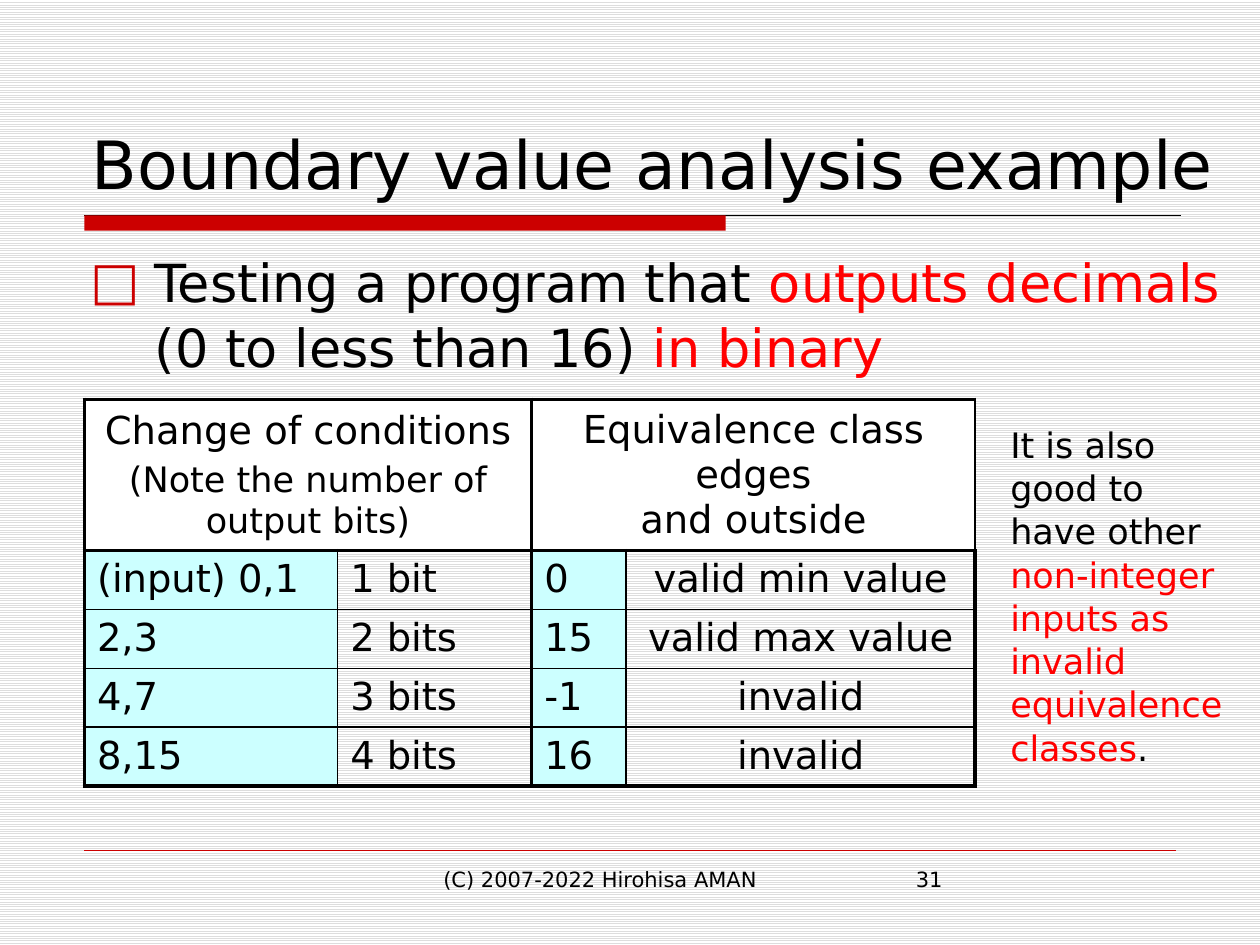
from lxml import etree
from pptx import Presentation
from pptx.dml.color import RGBColor
from pptx.enum import dml, shapes, text
from pptx.oxml import ns
from pptx.util import Inches, Pt

FONT = "DejaVu Sans"
BLACK = RGBColor(0x00, 0x00, 0x00)
WHITE = RGBColor(0xFF, 0xFF, 0xFF)
STRIPE = RGBColor(0xDD, 0xDD, 0xDD)
CRIMSON = RGBColor(0xCC, 0x00, 0x00)
RED = RGBColor(0xFF, 0x00, 0x00)
CYAN = RGBColor(0xCC, 0xFF, 0xFF)
LEFT, CENTER = text.PP_ALIGN.LEFT, text.PP_ALIGN.CENTER

HEADINGS = [
    [("Change of conditions", 22), ("(Note the number of output bits)", 20)],
    [("Equivalence class edges", 22), ("and outside", 22)],
]
CASES = [
    ("(input) 0,1", "1 bit", "0", "valid min value"),
    ("2,3", "2 bits", "15", "valid max value"),
    ("4,7", "3 bits", "-1", "invalid"),
    ("8,15", "4 bits", "16", "invalid"),
]


def write(paragraph, *parts, size, align=LEFT, before=0, spacing=None):
    """Fill a paragraph with parts, each a string or a (string, colour) pair."""
    paragraph.alignment = align
    paragraph.space_before = Pt(before)
    if spacing:
        paragraph.line_spacing = spacing
    for part in parts:
        words, colour = (part, BLACK) if isinstance(part, str) else part
        run = paragraph.add_run()
        run.text = words
        run.font.name, run.font.size = FONT, Pt(size)
        run.font.color.rgb = colour


def add_text(slide, left, top, width, height, *parts, **style):
    box = slide.shapes.add_textbox(
        Inches(left), Inches(top), Inches(width), Inches(height))
    box.text_frame.word_wrap = True
    paragraph = box.text_frame.paragraphs[0]
    write(paragraph, *parts, **style)
    return paragraph


def add_rule(slide, left, right, y, colour, weight):
    rule = slide.shapes.add_connector(
        shapes.MSO_CONNECTOR.STRAIGHT,
        Inches(left), Inches(y), Inches(right), Inches(y))
    rule.line.color.rgb, rule.line.width = colour, Pt(weight)
    etree.SubElement(rule._element.spPr, ns.qn("a:effectLst"))


def add_title(slide, left, top, width, height):
    title = slide.shapes.title
    title.left, title.top = Inches(left), Inches(top)
    title.width, title.height = Inches(width), Inches(height)
    frame = title.text_frame
    frame.vertical_anchor = text.MSO_ANCHOR.BOTTOM
    frame.auto_size = text.MSO_AUTO_SIZE.NONE
    write(frame.paragraphs[0], "Boundary value analysis example", size=38)


def add_title_bar(slide, left, top, width):
    add_rule(slide, left, left + width, top, BLACK, 0.75)
    bar = slide.shapes.add_shape(
        shapes.MSO_SHAPE.RECTANGLE,
        Inches(left), Inches(top), Inches(5.09), Inches(0.12))
    bar.shadow.inherit = False
    bar.fill.solid()
    bar.fill.fore_color.rgb = CRIMSON
    bar.line.fill.background()


def add_topic(slide, left, top, width, height):
    topic = add_text(
        slide, left, top, width, height,
        "Testing a program that ", ("outputs decimals", RED),
        " (0 to less than 16) ", ("in binary", RED), size=30, spacing=1.03)
    # Red square bullet with a hanging indent
    props = topic._p.get_or_add_pPr()
    props.set("marL", str(Inches(0.51)))
    props.set("indent", str(-Inches(0.51)))
    colour = etree.SubElement(props, ns.qn("a:buClr"))
    etree.SubElement(colour, ns.qn("a:srgbClr"), val=str(CRIMSON))
    etree.SubElement(props, ns.qn("a:buFont"), typeface=FONT)
    etree.SubElement(props, ns.qn("a:buChar"), char="□")


def set_borders(cell, **thick_sides):
    props = cell._tc.get_or_add_tcPr()
    for side, thick in thick_sides.items():
        line = etree.SubElement(
            props, ns.qn(f"a:ln{side}"), w=str(Pt(2.25 if thick else 1)))
        fill = etree.SubElement(line, ns.qn("a:solidFill"))
        etree.SubElement(fill, ns.qn("a:srgbClr"), val=str(BLACK))


def add_case_table(slide, left, top, widths, heights):
    table = slide.shapes.add_table(
        len(heights), len(widths), Inches(left), Inches(top),
        Inches(sum(widths)), Inches(sum(heights))).table
    table.first_row = table.horz_banding = False
    for column, width in zip(table.columns, widths):
        column.width = Inches(width)
    for row, height in zip(table.rows, heights):
        row.height = Inches(height)

    # Thick lines frame the header and each pair of columns
    for r in range(len(heights)):
        for c in range(len(widths)):
            cell = table.cell(r, c)
            set_borders(cell, L=c % 2 == 0, R=c % 2 == 1,
                        T=r in (0, 1), B=r in (0, len(CASES)))
            if r == 0 or c % 2 == 0:
                cell.fill.solid()
                cell.fill.fore_color.rgb = CYAN if r else WHITE
            else:
                cell.fill.background()

    # Headings, each over two columns
    for i, (first, second) in enumerate(HEADINGS):
        cell = table.cell(0, 2 * i)
        cell.merge(table.cell(0, 2 * i + 1))
        cell.vertical_anchor = text.MSO_ANCHOR.MIDDLE
        frame = cell.text_frame
        write(frame.paragraphs[0], first[0], size=first[1], align=CENTER)
        write(frame.add_paragraph(), second[0], size=second[1], align=CENTER,
              before=0 if i else 4)

    # Test cases
    for r, case in enumerate(CASES, start=1):
        for c, words in enumerate(case):
            write(table.cell(r, c).text_frame.paragraphs[0], words, size=22,
                  align=CENTER if c == 3 else LEFT)


def add_side_note(slide, left, top, width, height):
    add_text(slide, left, top, width, height,
             "It is also good to have other ",
             ("non-integer inputs as invalid equivalence classes", RED), ".",
             size=20, spacing=1.03)


def add_footer(slide, left, top, right):
    add_rule(slide, left, right, top, CRIMSON, 0.25)
    add_text(slide, 3.42, top + 0.08, 3.17, 0.52,
             "(C) 2007-2022 Hirohisa AMAN", size=12)
    add_text(slide, 7.17, top + 0.08, 2.17, 0.52, "31", size=12)


def main():
    deck = Presentation()
    deck.slide_width, deck.slide_height = Inches(10), Inches(7.5)
    slide = deck.slides.add_slide(deck.slide_layouts.get_by_name("Title Only"))
    backdrop = slide.background.fill
    backdrop.patterned()
    backdrop.pattern = dml.MSO_PATTERN.LIGHT_HORIZONTAL
    backdrop.fore_color.rgb, backdrop.back_color.rgb = STRIPE, WHITE

    add_title_bar(slide, 0.67, 1.71, 8.7)
    add_footer(slide, 0.67, 6.75, 9.33)
    add_title(slide, 0.63, 0.33, 10.54, 1.33)
    add_topic(slide, 0.62, 1.92, 9.38, 4.67)
    add_case_table(slide, 0.67, 3.17, [2.01, 1.54, 0.75, 2.77],
                   [1.16] + [0.46] * len(CASES))
    add_side_note(slide, 7.92, 3.3, 2, 2.79)
    deck.save("out.pptx")


if __name__ == "__main__":
    main()
